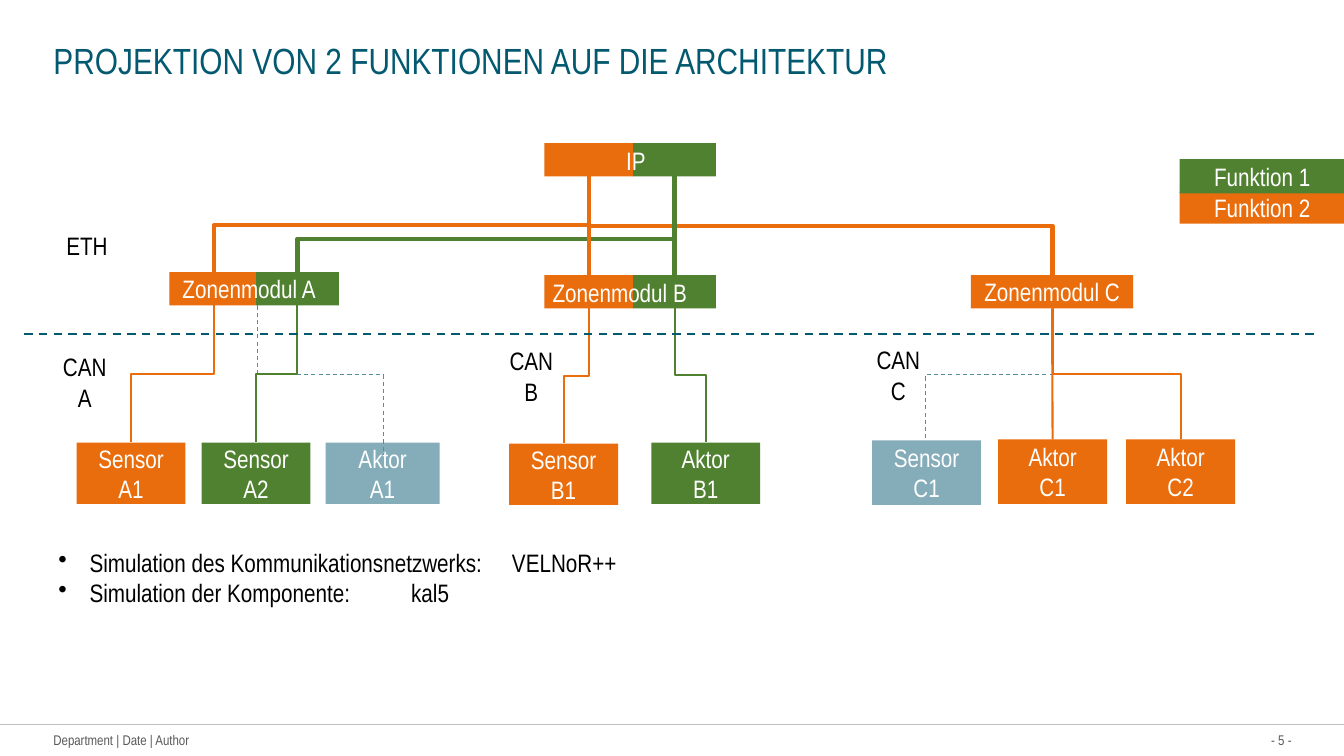
import pptx
import pptx.util
import pptx.dml.color
import pptx.enum.dml
import pptx.enum.shapes
import pptx.enum.text
import pptx.oxml
import pptx.oxml.ns

Inches = pptx.util.Inches
Pt = pptx.util.Pt
Kind = pptx.enum.shapes.MSO_CONNECTOR
Align = pptx.enum.text.PP_ALIGN
Anchor = pptx.enum.text.MSO_ANCHOR
qn = pptx.oxml.ns.qn

HUES = {
    "orange": "E96D0C", "green": "508130", "pale": "85ACB9", "dash": "548D9E",
    "petrol": "035970", "white": "FFFFFF", "black": "000000",
    "grey": "595959", "rule": "BFBFBF",
}
RGB = {name: pptx.dml.color.RGBColor.from_string(code) for name, code in HUES.items()}

deck = pptx.Presentation()
deck.slide_width = Inches(13.33)
deck.slide_height = Inches(7.5)
slide = deck.slides.add_slide(deck.slide_layouts[6])


def put(text, left, top, width, height, fill=None, size=18, hue="black",
        align=Align.LEFT, anchor=Anchor.TOP, inset=True, wrap=False, after=0, bullet=False):
    """Add a filled box, or a text box if there is no fill."""
    area = [Inches(v) for v in (left, top, width, height)]
    if fill:
        shape = slide.shapes.add_shape(pptx.enum.shapes.MSO_SHAPE.RECTANGLE, *area)
        shape.shadow.inherit = False
        shape.fill.solid()
        shape.fill.fore_color.rgb = RGB[fill]
        shape.line.fill.background()
    else:
        shape = slide.shapes.add_textbox(*area)
    if not text:
        return shape
    frame = shape.text_frame
    frame.word_wrap = wrap
    if not fill:
        frame.auto_size = pptx.enum.text.MSO_AUTO_SIZE.SHAPE_TO_FIT_TEXT
    frame.vertical_anchor = anchor
    if not inset:
        frame.margin_left = frame.margin_right = frame.margin_top = frame.margin_bottom = 0
    frame.text = text
    for para in frame.paragraphs:
        para.alignment = align
        para.space_after = Pt(after)
        for run in para.runs:
            run.font.name = "Arial Narrow"
            run.font.size = Pt(size)
            run.font.color.rgb = RGB[hue]
        if bullet:
            props = para._p.get_or_add_pPr()
            props.set("marL", str(Inches(0.31)))
            props.set("indent", str(-Inches(0.31)))
            mark = props.makeelement(qn("a:buChar"), {"char": "•"})
            props.append(mark)
    return shape


def link(x1, y1, x2, y2, hue, width, bend=None, dash=False):
    """Add a straight line, or one that runs down, across and down if bend is given."""
    if bend is None:
        line = slide.shapes.add_connector(
            Kind.STRAIGHT, Inches(x1), Inches(y1), Inches(x2), Inches(y2))
    else:
        # An elbow runs sideways, so it is laid flat and turned about its centre
        long, wide = y2 - y1, abs(x2 - x1)
        left, top = (x1 + x2 - long) / 2, (y1 + y2 - wide) / 2
        line = slide.shapes.add_connector(
            Kind.ELBOW, Inches(left), Inches(top), Inches(left + long), Inches(top + wide))
        frame = line._element.spPr.find(qn("a:xfrm"))
        frame.set("rot", "5400000" if x2 < x1 else "16200000")
        if x2 > x1:
            frame.set("flipH", "1")
        geom = line._element.spPr.find(qn("a:prstGeom"))
        guides = geom.find(qn("a:avLst"))
        if guides is None:
            guides = geom.makeelement(qn("a:avLst"), {})
            geom.append(guides)
        guides.append(guides.makeelement(
            qn("a:gd"), {"name": "adj1", "fmla": f"val {round(bend * 100000)}"}))
    line.line.color.rgb = RGB[hue]
    line.line.width = Pt(width)
    if dash:
        line.line.dash_style = pptx.enum.dml.MSO_LINE.DASH
    props = line._element.spPr
    props.append(props.makeelement(qn("a:effectLst"), {}))
    return line


# Footer and title
link(0, 7.19, 13.33, 7.19, "rule", 1)
foot = dict(size=10, hue="grey", anchor=Anchor.MIDDLE, inset=False)
put("- 5 -", 12.4, 7.26, 0.41, 0.17, align=Align.RIGHT, **foot)
put("Department | Date | Author", 0.53, 7.26, 1.5, 0.17, **foot)
put("PROJEKTION VON 2 FUNKTIONEN AUF DIE ARCHITEKTUR", 0.53, 0.38, 12.28, 0.44,
    size=26, hue="petrol", inset=False, wrap=True)

# Two-coloured modules: one half for each function
halves = {}
for name, left, top, first, second in [
    ("IP", 5.4, 1.42, 0.88, 0.82),
    ("Zonenmodul A", 1.68, 2.7, 0.86, 0.82),
    ("Zonenmodul B", 5.4, 2.73, 0.88, 0.82),
]:
    halves[name] = (put("", left, top, first, 0.33, fill="orange"),
                    put("", left + first, top, second, 0.33, fill="green"))

# Boxes with text
box = dict(hue="white", align=Align.CENTER, anchor=Anchor.MIDDLE, wrap=True)
zone = put("Zonenmodul C", 9.63, 2.73, 1.61, 0.33, fill="orange", **box)
parts = {}
for name, left, top, width, height, fill in [
    ("Sensor\nA1", 0.76, 4.39, 1.08, 0.61, "orange"),
    ("Sensor\nA2", 2, 4.39, 1.08, 0.61, "green"),
    ("Aktor\nA1", 3.23, 4.39, 1.13, 0.61, "pale"),
    ("Sensor\nB1", 5.05, 4.4, 1.08, 0.61, "orange"),
    ("Aktor\nB1", 6.46, 4.39, 1.08, 0.61, "green"),
    ("Sensor\nC1", 8.65, 4.37, 1.08, 0.64, "pale"),
    ("Aktor\nC1", 9.9, 4.36, 1.08, 0.64, "orange"),
    ("Aktor\nC2", 11.17, 4.36, 1.08, 0.64, "orange"),
    ("Funktion 2", 11.7, 1.9, 1.64, 0.32, "orange"),
    ("Funktion 1", 11.7, 1.58, 1.64, 0.34, "green"),
]:
    parts[name] = put(name, left, top, width, height, fill=fill, **box)

# Bent links: Ethernet first, then the CAN buses
for x1, y1, x2, y2, hue, width, bend in [
    (5.84, 1.75, 2.12, 2.7, "orange", 3, 0.51),
    (6.69, 1.75, 2.95, 2.7, "green", 3, 0.65),
    (5.84, 1.75, 10.44, 2.73, "orange", 3, 0.5),
    (2.12, 3.03, 1.3, 4.39, "orange", 1.5, 0.5),
    (2.55, 3.03, 3.8, 4.51, "dash", 0.75, 0.46),
    (2.95, 3.03, 2.54, 4.39, "green", 1.5, 0.5),
    (5.84, 3.06, 5.59, 4.4, "orange", 1.5, 0.5),
    (6.69, 3.06, 7, 4.39, "green", 1.5, 0.5),
    (10.44, 3.06, 9.18, 4.37, "dash", 0.75, 0.5),
    (10.44, 3.06, 11.71, 4.36, "orange", 1.5, 0.5),
]:
    link(x1, y1, x2, y2, hue, width, bend, dash=hue == "dash")

# Straight links, joined to the boxes
for start, end, x, y1, y2, hue, width in [
    (halves["IP"][0], halves["Zonenmodul B"][0], 5.84, 1.75, 2.73, "orange", 3),
    (halves["IP"][1], halves["Zonenmodul B"][1], 6.69, 1.75, 2.73, "green", 3),
    (zone, parts["Aktor\nC1"], 10.44, 3.06, 4.36, "orange", 1.5),
]:
    line = link(x, y1, x, y2, hue, width)
    line.begin_connect(start, 2)
    line.end_connect(end, 0)
link(0.24, 3.31, 13.09, 3.31, "petrol", 1.5, dash=True)

# Module names across both halves
for name, left, top, width in [
    ("Zonenmodul A", 1.81, 2.71, 1.49), ("IP", 6.21, 1.44, 0.2), ("Zonenmodul B", 5.48, 2.75, 1.49),
]:
    put(name, left, top, width, 0.69, hue="white", inset=False, after=6)

# Bus names
put("ETH", 0.56, 2.24, 0.63, 0.4)
for name, left, top in [("CAN\nA", 0.52, 3.44), ("CAN\nB", 4.95, 3.38), ("CAN\nC", 8.59, 3.37)]:
    put(name, left, top, 0.64, 0.71, align=Align.CENTER)

# Tools for the simulation
put("Simulation des Kommunikationsnetzwerks: \tVELNoR++\nSimulation der Komponente: \t\tkal5",
    0.48, 5.38, 6.44, 0.71, bullet=True)

deck.save("out.pptx")
